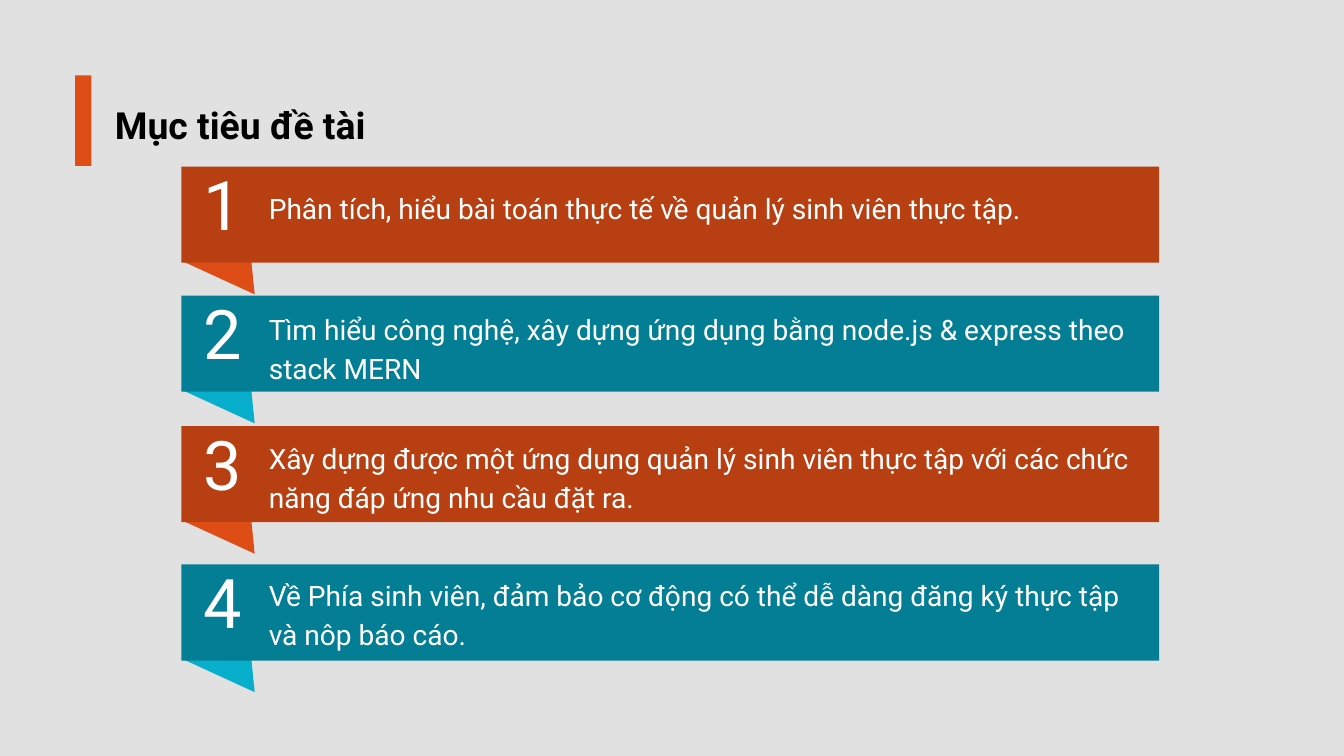
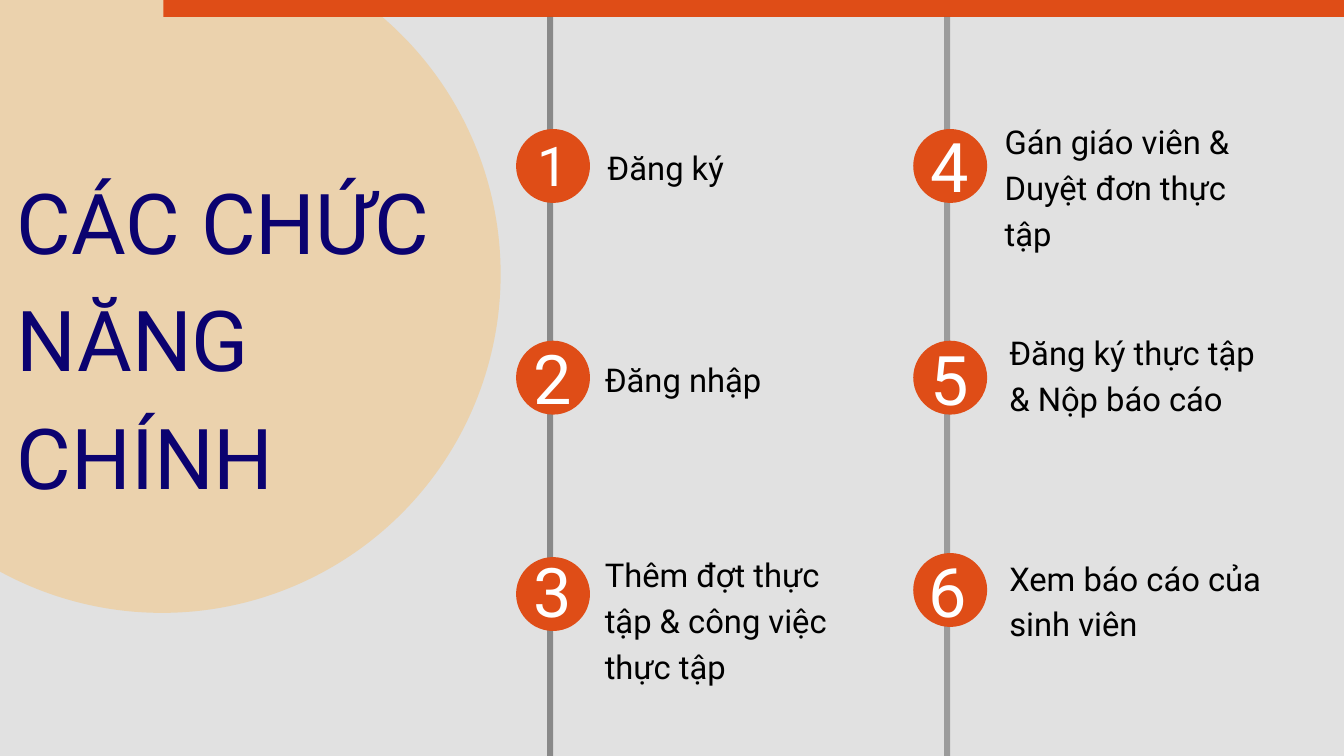
from dataclasses import dataclass

from lxml.etree import SubElement
from pptx import Presentation
from pptx.dml.color import RGBColor
from pptx.enum.shapes import MSO_SHAPE
from pptx.enum.text import PP_ALIGN
from pptx.oxml.ns import qn
from pptx.shapes.autoshape import Shape
from pptx.slide import Slide
from pptx.util import Inches, Pt

SLIDE_W, SLIDE_H = Inches(20), Inches(11.25)
COLUMNS, ROWS = 20, 11.25

FONT = "Roboto"
GREY = RGBColor(0xE1, 0xE1, 0xE1)
ORANGE = RGBColor(0xDF, 0x4D, 0x17)
RUST = RGBColor(0xB8, 0x3F, 0x12)
CYAN = RGBColor(0x07, 0xAF, 0xCD)
TEAL = RGBColor(0x04, 0x7E, 0x94)
SAND = RGBColor(0xF6, 0xC3, 0x76)
CHARCOAL = RGBColor(0x33, 0x33, 0x33)
NAVY = RGBColor(0x0B, 0x02, 0x70)
BLACK = RGBColor(0x00, 0x00, 0x00)
WHITE = RGBColor(0xFF, 0xFF, 0xFF)


@dataclass(frozen=True)
class TextStyle:
    size: float
    spacing: float
    color: RGBColor
    align: PP_ALIGN = PP_ALIGN.LEFT
    bold: bool = False


HEADING = TextStyle(40, 56, BLACK, PP_ALIGN.CENTER, True)
DISPLAY = TextStyle(90, 126, NAVY)
GOAL_TEXT = TextStyle(30.1, 42.2, WHITE)
FEATURE_TEXT = TextStyle(35.1, 49.2, BLACK)
NUMBER = TextStyle(73.3, 73.3, WHITE, PP_ALIGN.CENTER)
SMALL_NUMBER = TextStyle(58.7, 58.7, WHITE, PP_ALIGN.CENTER)

NUMBER_W, NUMBER_H = 2.38, 1.08
BANNER_X, BANNER_W, BANNER_H = 2.7, 14.55, 1.43
TAIL = ((1.09, 1.9), (0.97, 0.71), (0, 1.4))
DISC = 1.1
RAIL_W = 0.09
TOP_BAND = 0.25


@dataclass(frozen=True)
class Goal:
    text: str
    top: float
    text_top: float


@dataclass(frozen=True)
class Feature:
    text: str
    disc_top: float
    number_top: float
    text_left: float
    text_top: float
    number_style: TextStyle = NUMBER
    number_shift: float = 0


@dataclass(frozen=True)
class Rail:
    left: float
    opacity: int
    disc_left: float
    text_w: float
    features: tuple[Feature, ...]


GOALS = (
    Goal("Phân tích, hiểu bài toán thực tế về quản lý sinh viên thực tập.", 2.48, 2.77),
    Goal("Tìm hiểu công nghệ, xây dựng ứng dụng bằng node.js & express theo stack MERN", 4.4, 4.56),
    Goal("Xây dựng được một ứng dụng quản lý sinh viên thực tập với các chức năng đáp ứng nhu cầu đặt ra.", 6.34, 6.48),
    Goal("Về Phía sinh viên, đảm bảo cơ động có thể dễ dàng đăng ký thực tập và nôp báo cáo.", 8.4, 8.52),
)
BANNER_COLORS = ((RUST, ORANGE), (TEAL, CYAN))

RAILS = (
    Rail(8.14, 50, 7.68, 3.65, (
        Feature("Đăng ký", 1.92, 2.12, 9.04, 2.1, SMALL_NUMBER),
        Feature("Đăng nhập", 5.07, 5.21, 9, 5.25),
        Feature("Thêm đợt thực tập & công việc thực tập", 8.29, 8.38, 9, 8.16),
    )),
    Rail(14.05, 40, 13.59, 3.86, (
        Feature("Gán giáo viên & Duyệt đơn thực tập", 1.92, 2.05, 14.95, 1.71),
        Feature("Đăng ký thực tập & Nộp báo cáo", 5.07, 5.22, 15.02, 4.85),
        Feature("Xem báo cáo của sinh viên", 8.23, 8.38, 15.02, 8.21, number_shift=-0.03),
    )),
)


def col(n: float) -> int:
    return round(SLIDE_W * n / COLUMNS)


def row(n: float) -> int:
    return round(SLIDE_H * n / ROWS)


def paint(sp: Shape, color: RGBColor, opacity: int = 100) -> None:
    sp.shadow.inherit = False
    sp.fill.solid()
    sp.fill.fore_color.rgb = color
    sp.line.fill.background()
    if opacity < 100:
        clr = next(sp._element.spPr.iter(qn("a:srgbClr")))
        SubElement(clr, qn("a:alpha"), val=str(opacity * 1000))


def add_block(s: Slide, left: float, top: float, width: float, height: float,
              color: RGBColor, opacity: int = 100,
              kind: MSO_SHAPE = MSO_SHAPE.RECTANGLE) -> None:
    sp = s.shapes.add_shape(kind, col(left), row(top), col(width), row(height))
    paint(sp, color, opacity)


def add_text(s: Slide, text: str, left: float, top: float, width: float,
             height: float, style: TextStyle) -> None:
    tf = s.shapes.add_textbox(col(left), row(top), col(width), row(height)).text_frame
    tf.word_wrap = True
    tf.margin_left = tf.margin_top = tf.margin_right = tf.margin_bottom = 0
    tf.text = text
    for p in tf.paragraphs:
        p.alignment = style.align
        p.line_spacing = Pt(style.spacing)
        for r in p.runs:
            r.font.name = FONT
            r.font.size = Pt(style.size)
            r.font.bold = style.bold
            r.font.color.rgb = style.color


def add_number(s: Slide, number: int, center: float, top: float,
               style: TextStyle = NUMBER) -> None:
    add_text(s, str(number), center - NUMBER_W / 2, top, NUMBER_W, NUMBER_H, style)


def add_tail(s: Slide, top: float, color: RGBColor) -> None:
    points = [(col(BANNER_X + x), row(top + y)) for x, y in TAIL]
    builder = s.shapes.build_freeform(*points[0], scale=1.0)
    builder.add_line_segments(points[1:], close=True)
    paint(builder.convert_to_shape(), color)


def add_goal(s: Slide, number: int, goal: Goal) -> None:
    banner, tail = BANNER_COLORS[(number - 1) % len(BANNER_COLORS)]
    add_tail(s, goal.top, tail)
    add_block(s, BANNER_X, goal.top, BANNER_W, BANNER_H, banner)
    add_text(s, goal.text, 4, goal.text_top, 12.91, 1.18, GOAL_TEXT)
    add_number(s, number, 3.31, goal.top + 0.14)


def add_feature(s: Slide, number: int, rail: Rail, feature: Feature) -> None:
    add_block(s, rail.disc_left, feature.disc_top, DISC, DISC, ORANGE, kind=MSO_SHAPE.OVAL)
    center = rail.disc_left + DISC / 2 + feature.number_shift
    add_number(s, number, center, feature.number_top, feature.number_style)
    width = FEATURE_W if feature.text_left < 15 else rail.text_w
    add_text(s, feature.text, feature.text_left, feature.text_top, width, 2.02, FEATURE_TEXT)


FEATURE_W = 3.65


def add_slide(prs: Presentation) -> Slide:
    s = prs.slides.add_slide(prs.slide_layouts[6])
    s.background.fill.solid()
    s.background.fill.fore_color.rgb = GREY
    return s


def build_goals(prs: Presentation) -> None:
    s = add_slide(prs)
    add_block(s, 1.12, 1.12, 0.24, 1.35, ORANGE)
    add_text(s, "Mục tiêu đề tài", 1.43, 1.41, 4.29, 0.79, HEADING)
    for number, goal in enumerate(GOALS, 1):
        add_goal(s, number, goal)


def build_features(prs: Presentation) -> None:
    s = add_slide(prs)
    add_block(s, -2.63, -0.96, 10.08, 10.08, SAND, 48, MSO_SHAPE.OVAL)
    add_block(s, 2.43, 0, COLUMNS - 2.43, TOP_BAND, ORANGE)
    add_text(s, "CÁC CHỨC\nNĂNG CHÍNH", 0.25, 2.28, 6.54, 3.42, DISPLAY)
    number = 0
    for rail in RAILS:
        add_block(s, rail.left, TOP_BAND, RAIL_W, ROWS - TOP_BAND, CHARCOAL, rail.opacity)
        for feature in rail.features:
            number += 1
            add_feature(s, number, rail, feature)


def main() -> None:
    prs = Presentation()
    prs.slide_width, prs.slide_height = SLIDE_W, SLIDE_H
    build_goals(prs)
    build_features(prs)
    prs.save("out.pptx")


if __name__ == "__main__":
    main()
